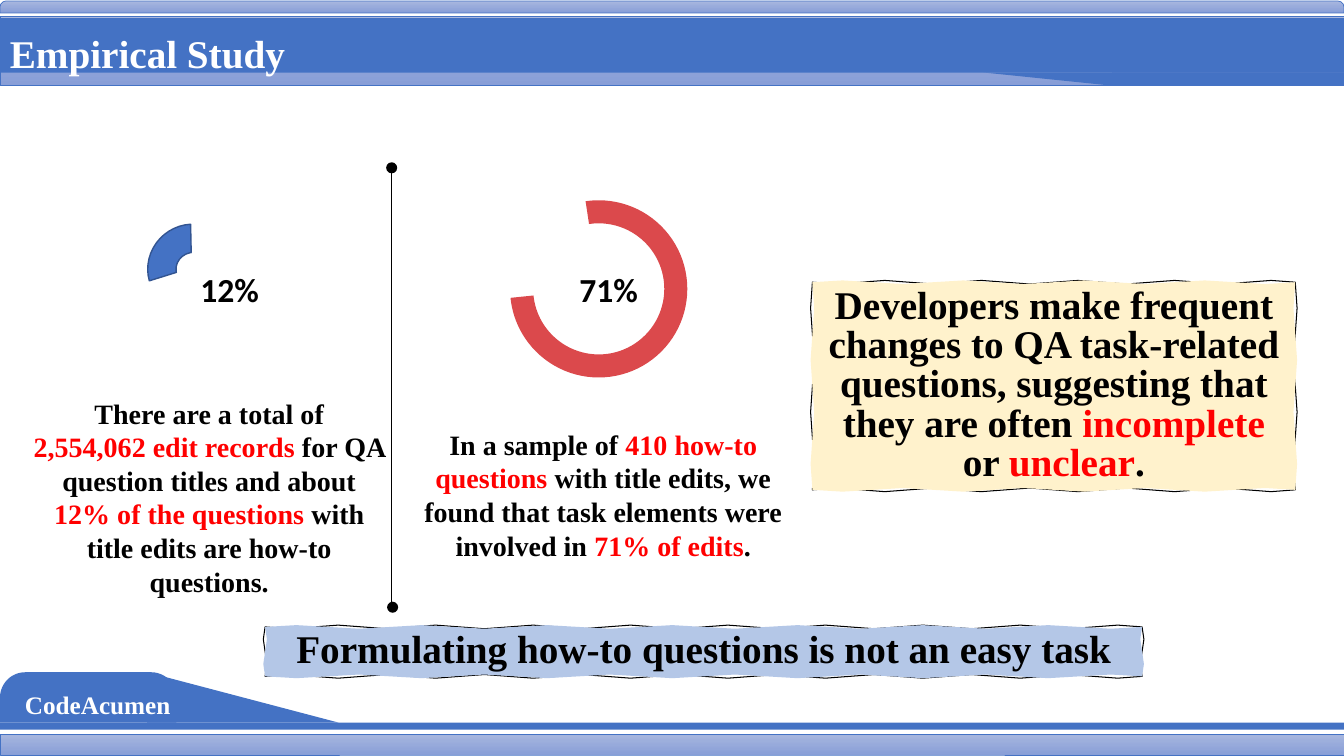
from lxml import etree
from pptx import Presentation
from pptx import util as u
from pptx.dml.color import RGBColor
from pptx.enum import shapes, text
from pptx.oxml.ns import qn

Pt = u.Pt
MSO = shapes.MSO_SHAPE
BLUE = RGBColor(0x44, 0x72, 0xC4)
DARK_BLUE = RGBColor(0x32, 0x54, 0x91)
PALE_BLUE = RGBColor(0xB4, 0xC7, 0xE7)
GRAD_TOP = RGBColor(0xA8, 0xB7, 0xDF)
GRAD_BOTTOM = RGBColor(0x88, 0x9E, 0xD7)
CREAM = RGBColor(0xFF, 0xF2, 0xCC)
CRIMSON = RGBColor(0xDB, 0x49, 0x4C)
RED = RGBColor(0xFF, 0, 0)
BLACK = RGBColor(0, 0, 0)
WHITE = RGBColor(0xFF, 0xFF, 0xFF)
SERIF = "Times New Roman"
LEFT, CENTER = text.PP_ALIGN.LEFT, text.PP_ALIGN.CENTER

prs = Presentation()
prs.slide_width, prs.slide_height = Pt(960), Pt(540)
s = prs.slides.add_slide(prs.slide_layouts[6])


def write(tf, paragraphs, size, font=SERIF, color=BLACK, align=CENTER, spacing=None):
    tf.word_wrap = True
    for i, runs in enumerate(paragraphs):
        p = tf.add_paragraph() if i else tf.paragraphs[0]
        p.alignment = align
        p.line_spacing = spacing
        p.font.size, p.font.name, p.font.bold = Pt(size), font, True
        for words, run_color in runs:
            r = p.add_run()
            r.text = words
            r.font.color.rgb = run_color or color


def wavy_box(x, y, w, h, amplitude, period):
    corners = [(x, y), (x + w, y), (x + w, y + h), (x, y + h)]
    points = []
    for (x0, y0), (x1, y1) in zip(corners, corners[1:] + corners[:1]):
        steps = 2 * max(1, round((abs(x1 - x0) + abs(y1 - y0)) / period))
        points.append((Pt(x0), Pt(y0)))
        for i in range(steps):
            t = (i + 0.5) / steps
            d = amplitude * (-1) ** i
            points.append((Pt(x0 + t * (x1 - x0) + d * (x0 == x1)), Pt(y0 + t * (y1 - y0) + d * (y0 == y1))))
    builder = s.shapes.build_freeform(*points[0], scale=1.0)
    builder.add_line_segments(points[1:], close=True)
    sp = builder.convert_to_shape()
    sp.shadow.inherit = False
    return sp


bars = [
    (MSO.ROUND_2_SAME_RECTANGLE, 0, 0.7, 960, 8.6),
    (MSO.RECTANGLE, 0, 11.5, 960, 49.7),
    (MSO.RECTANGLE, 0, 524.2, 960, 15.1),
]
for kind, *box in bars:
    sp = s.shapes.add_shape(kind, *map(Pt, box))
    sp.shadow.inherit = False
    if kind == MSO.ROUND_2_SAME_RECTANGLE:
        sp.adjustments[0] = 0.5
    sp.fill.gradient()
    sp.fill.gradient_angle = 270
    for stop, color, position in zip(sp.fill.gradient_stops, (GRAD_TOP, GRAD_BOTTOM), (0, 1)):
        stop.color.rgb, stop.position = color, position
    sp.line.color.rgb, sp.line.width = BLUE, Pt(0.5)

solids = [
    (MSO.RECTANGLE, 0, 13, 960, 38.9, 0, BLUE, []),
    (MSO.RIGHT_TRIANGLE, 702.7, 51.8, 91.8, 9.4, 180, BLUE, []),
    (MSO.RECTANGLE, 794.5, 51.8, 165.5, 9.4, 0, BLUE, []),
    (MSO.RECTANGLE, 0, 516.2, 960, 5, 0, BLUE, []),
    (MSO.ROUND_2_SAME_RECTANGLE, 0, 480.2, 126, 36, 0, BLUE, [0.5]),
    (MSO.RIGHT_TRIANGLE, 105.1, 480.2, 136.8, 36, 0, BLUE, []),
    (MSO.OVAL, 275.8, 115.9, 7.9, 7.9, 0, BLACK, []),
    (MSO.OVAL, 276.5, 429.8, 7.9, 7.9, 0, BLACK, []),
    (MSO.BLOCK_ARC, 364.4, 143.1, 126.6, 126.6, 0, CRIMSON, [156.9, 104.52, 0.13]),
    (MSO.BLOCK_ARC, 105.1, 160.6, 63.4, 61.2, 320.5, BLUE, [121.27, 185.02, 0.33]),
]
for kind, x, y, w, h, rotation, color, adjustments in solids:
    sp = s.shapes.add_shape(kind, Pt(x), Pt(y), Pt(w), Pt(h))
    sp.shadow.inherit = False
    sp.rotation = rotation
    sp.fill.solid()
    sp.fill.fore_color.rgb = color
    sp.line.fill.background()
    for i, value in enumerate(adjustments):
        sp.adjustments[i] = value
sp.line.color.rgb, sp.line.width = DARK_BLUE, Pt(1)

divider = s.shapes.add_connector(shapes.MSO_CONNECTOR.STRAIGHT, Pt(279.8), Pt(123.8), Pt(279.8), Pt(429.8))
divider.line.color.rgb, divider.line.width = BLACK, Pt(0.5)
etree.SubElement(divider._element.spPr, qn("a:effectLst"))

labels = [
    (0, 17.3, 473, 41, 28, SERIF, WHITE, LEFT, [[("Empirical Study", None)]]),
    (10.1, 488.9, 119.5, 28.8, 18, SERIF, WHITE, CENTER, [[("CodeAcumen", None)]]),
    (136.1, 188.6, 61.9, 36.7, 24, "Calibri", BLACK, LEFT, [[("12%", None)]]),
    (406.8, 188.6, 61.9, 36.7, 24, "Calibri", BLACK, LEFT, [[("71%", None)]]),
    (16.6, 279.4, 265.7, 152.6, 20, SERIF, BLACK, CENTER, [
        [("There are a total of", None)],
        [("2,554,062 edit records ", RED), ("for QA question titles and about ", None),
         ("12% of the questions ", RED), ("with title edits are how-to questions.", None)],
    ]),
    (288, 301.7, 285.8, 104.4, 20, SERIF, BLACK, CENTER, [
        [("In a sample of ", None), ("410 how-to questions ", RED),
         ("with title edits, we found that task elements were involved in ", None),
         ("71% of edits", RED), (".", None)],
    ]),
]
for x, y, w, h, size, font, color, align, paragraphs in labels:
    label = s.shapes.add_textbox(Pt(x), Pt(y), Pt(w), Pt(h))
    write(label.text_frame, paragraphs, size, font, color, align)

notes = [
    (580.3, 201.6, 344.9, 148.3, CREAM, [
        [("Developers make frequent changes to QA task-related", None)],
        [("questions, suggesting that they are often ", None), ("incomplete", RED),
         (" or ", None), ("unclear", RED), (".", None)],
    ]),
    (189.4, 447.8, 626.4, 35.3, PALE_BLUE, [
        [("Formulating how-to questions is not an easy task", None)],
    ]),
]
for *box, color, paragraphs in notes:
    outline = wavy_box(*box, 1.3, 70)
    outline.fill.background()
    outline.line.color.rgb, outline.line.width = BLACK, Pt(0.75)
    note = wavy_box(*box, -1.3, 85)
    note.fill.solid()
    note.fill.fore_color.rgb = color
    note.line.fill.background()
    note.text_frame.vertical_anchor = text.MSO_ANCHOR.MIDDLE
    write(note.text_frame, paragraphs, 28, spacing=Pt(28))

prs.save("out.pptx")
